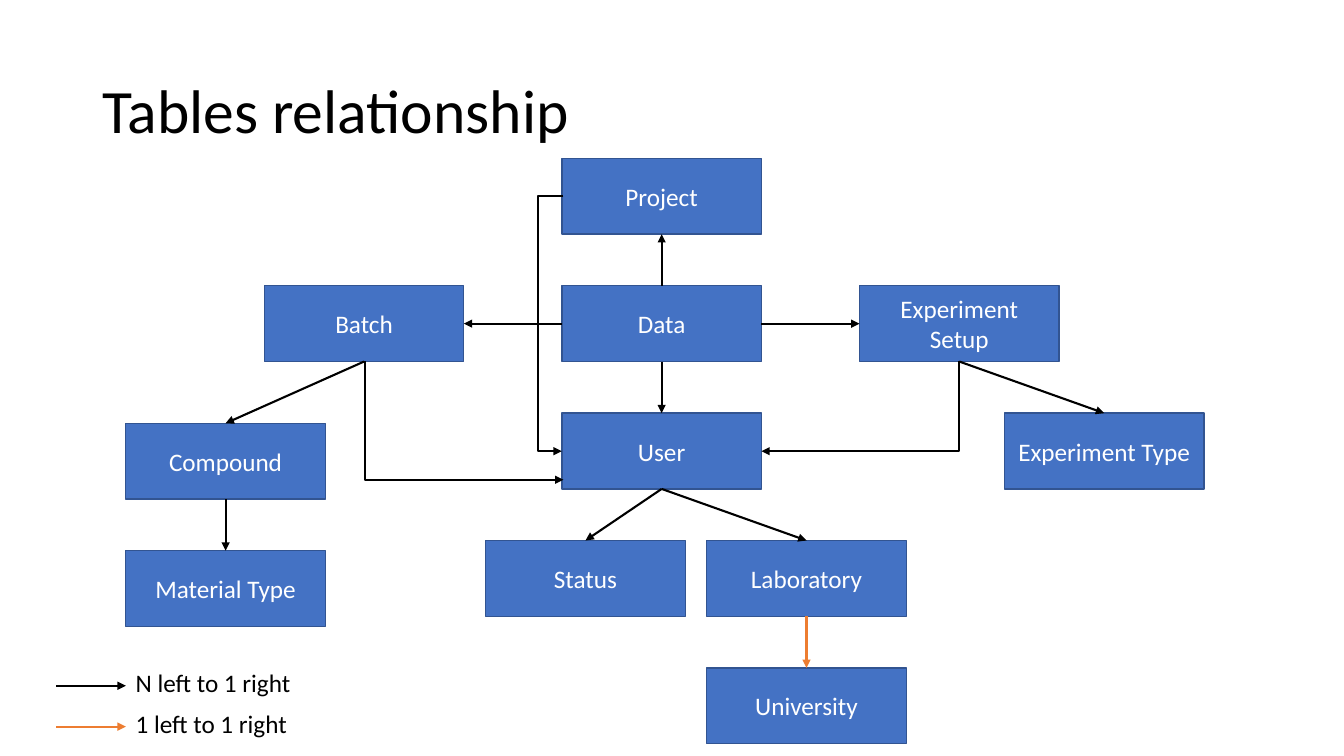
from lxml.etree import SubElement
from pptx import Presentation
from pptx.dml.color import RGBColor
from pptx.enum.shapes import MSO_CONNECTOR as Link, MSO_SHAPE as Shape
from pptx.enum.text import MSO_ANCHOR as Anchor, PP_ALIGN as Align
from pptx.oxml.ns import qn
from pptx.util import Cm, Pt

FONT = "Calibri"
COLORS = {"box": "4472C4", "edge": "325491", "many": "000000",
          "one": "ED7D31", "dark": "000000", "light": "FFFFFF"}
TITLE = "Tables relationship"

# Name: (left in cm, row)
TABLES = {
    "Data": (14.16, 1),
    "Project": (14.16, 0),
    "Batch": (6.66, 1),
    "User": (14.16, 2),
    "Experiment Setup": (21.66, 1),
    "Compound": (3.17, 2.08),
    "Material Type": (3.17, 3.08),
    "Status": (12.24, 3),
    "Experiment Type": (25.31, 2),
    "Laboratory": (17.81, 3),
    "University": (17.81, 4),
}
TOP, LEFT, BOTTOM, RIGHT = range(4)
# From table, side, to table, side, kind
LINKS = [
    ("Data", TOP, "Project", BOTTOM, "many"),
    ("Data", LEFT, "Batch", RIGHT, "many"),
    ("Data", RIGHT, "Experiment Setup", LEFT, "many"),
    ("Data", BOTTOM, "User", TOP, "many"),
    ("Batch", BOTTOM, "Compound", TOP, "many"),
    ("Compound", BOTTOM, "Material Type", TOP, "many"),
    ("User", BOTTOM, "Status", TOP, "many"),
    ("User", BOTTOM, "Laboratory", TOP, "many"),
    ("Laboratory", BOTTOM, "University", TOP, "one"),
    ("Experiment Setup", BOTTOM, "Experiment Type", TOP, "many"),
]
# Start, end, x of the upright part, all in cm
BENDS = [
    ((14.2, 4.94), (14.16, 11.37), 13.56),
    ((9.2, 9.11), (14.2, 12.09), 9.2),
    ((24.18, 9.11), (19.19, 11.37), 24.18),
]
LEGEND = [("N left to 1 right", "many"), ("1 left to 1 right", "one")]

WIDTH, HEIGHT = 5.03, 1.91
FIRST, STEP = 3.99, 3.21
KEY_X, KEY_END, KEY_Y, KEY_STEP = 1.42, 3.17, 17.28, 1.03


def color(name):
    return RGBColor.from_string(COLORS[name])


def write(frame, text, size, ink, align):
    frame.text = text
    para = frame.paragraphs[0]
    para.alignment = align
    font = para.runs[0].font
    font.name, font.size = FONT, Pt(size)
    font.color.rgb = color(ink)


def arrow(slide, kind, start=(0, 0), end=(0, 0), form=Link.STRAIGHT):
    line = slide.shapes.add_connector(form, *map(Cm, start + end))
    line.line.color.rgb = color(kind)
    line.line.width = Pt(1.5)
    SubElement(line.line._get_or_add_ln(), qn("a:tailEnd"), type="triangle")
    SubElement(line._element.spPr, qn("a:effectLst"))
    return line


def bend(slide, start, end, turn):
    """Draw an elbow arrow whose upright part stands at x = turn."""
    line = arrow(slide, "many", start, end, Link.ELBOW)
    share = (turn - start[0]) / (end[0] - start[0])
    guides = line._element.spPr.find(qn("a:prstGeom")).get_or_add_avLst()
    SubElement(guides, qn("a:gd"), name="adj1",
               fmla=f"val {round(share * 100000)}")


def table_box(slide, name, left, row):
    box = slide.shapes.add_shape(Shape.RECTANGLE, Cm(left),
                                 Cm(FIRST + row * STEP), Cm(WIDTH), Cm(HEIGHT))
    box.shadow.inherit = False
    box.fill.solid()
    box.fill.fore_color.rgb = color("box")
    box.line.color.rgb = color("edge")
    box.line.width = Pt(1)
    box.text_frame.vertical_anchor = Anchor.MIDDLE
    write(box.text_frame, name, 18, "light", Align.CENTER)
    return box


def main():
    deck = Presentation()
    deck.slide_width, deck.slide_height = Cm(33.87), Cm(19.05)
    slide = deck.slides.add_slide(deck.slide_layouts[5])

    title = slide.shapes.title
    title.left, title.top = Cm(2.33), Cm(1.01)
    title.width, title.height = Cm(29.21), Cm(3.68)
    title.text_frame.vertical_anchor = Anchor.MIDDLE
    write(title.text_frame, TITLE, 44, "dark", Align.LEFT)
    title.text_frame.paragraphs[0].line_spacing = 0.9

    boxes = {name: table_box(slide, name, *spot)
             for name, spot in TABLES.items()}
    for source, out, target, into, kind in LINKS:
        line = arrow(slide, kind)
        line.begin_connect(boxes[source], out)
        line.end_connect(boxes[target], into)
    for start, end, turn in BENDS:
        bend(slide, start, end, turn)

    for i, (text, kind) in enumerate(LEGEND):
        y = KEY_Y + i * KEY_STEP
        arrow(slide, kind, (KEY_X, y), (KEY_END, y))
        label = slide.shapes.add_textbox(Cm(KEY_END), Cm(y - 0.59),
                                         Cm(4.47), Cm(1.02))
        label.text_frame.word_wrap = False
        write(label.text_frame, text, 18, "dark", Align.LEFT)

    deck.save("out.pptx")


if __name__ == "__main__":
    main()
